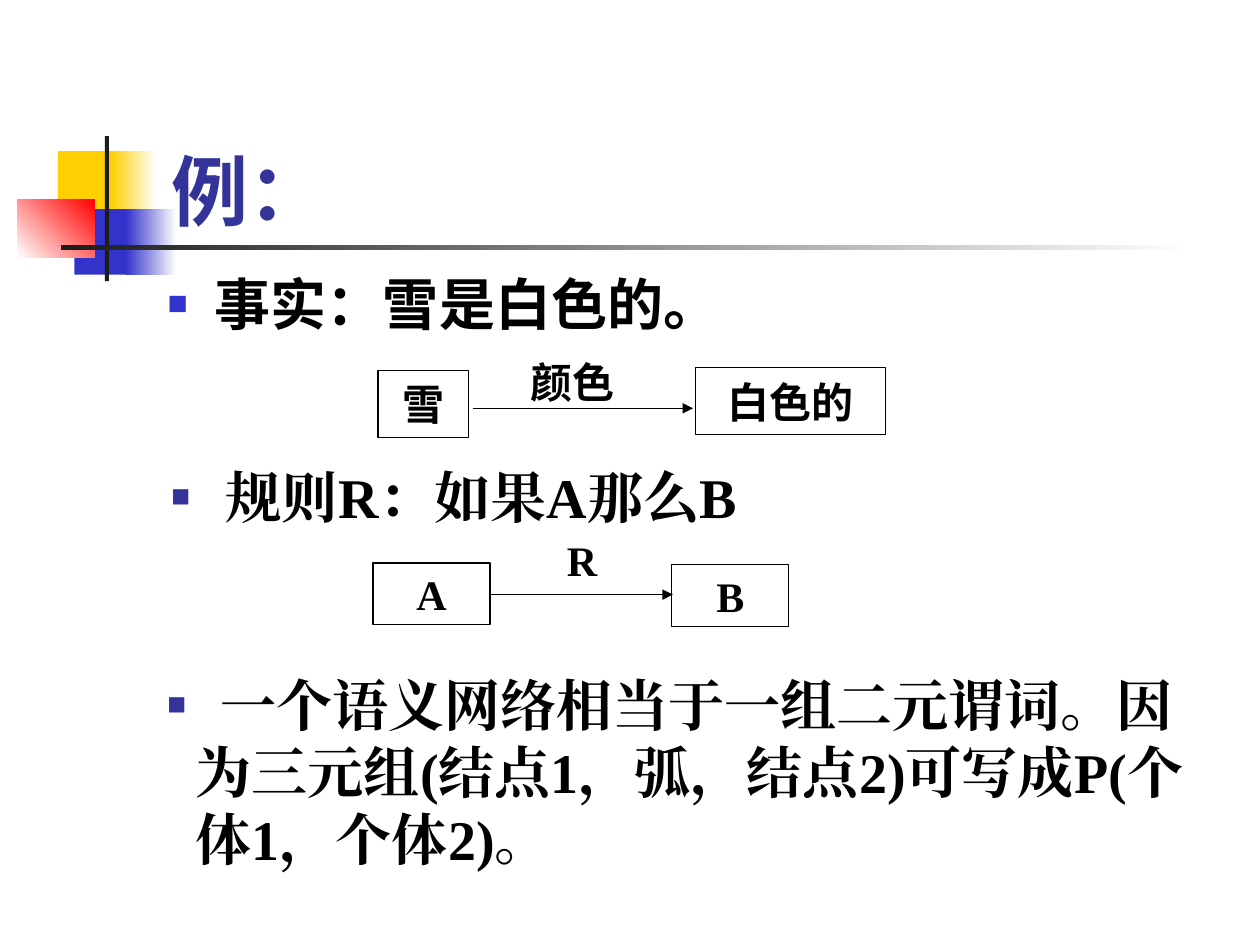
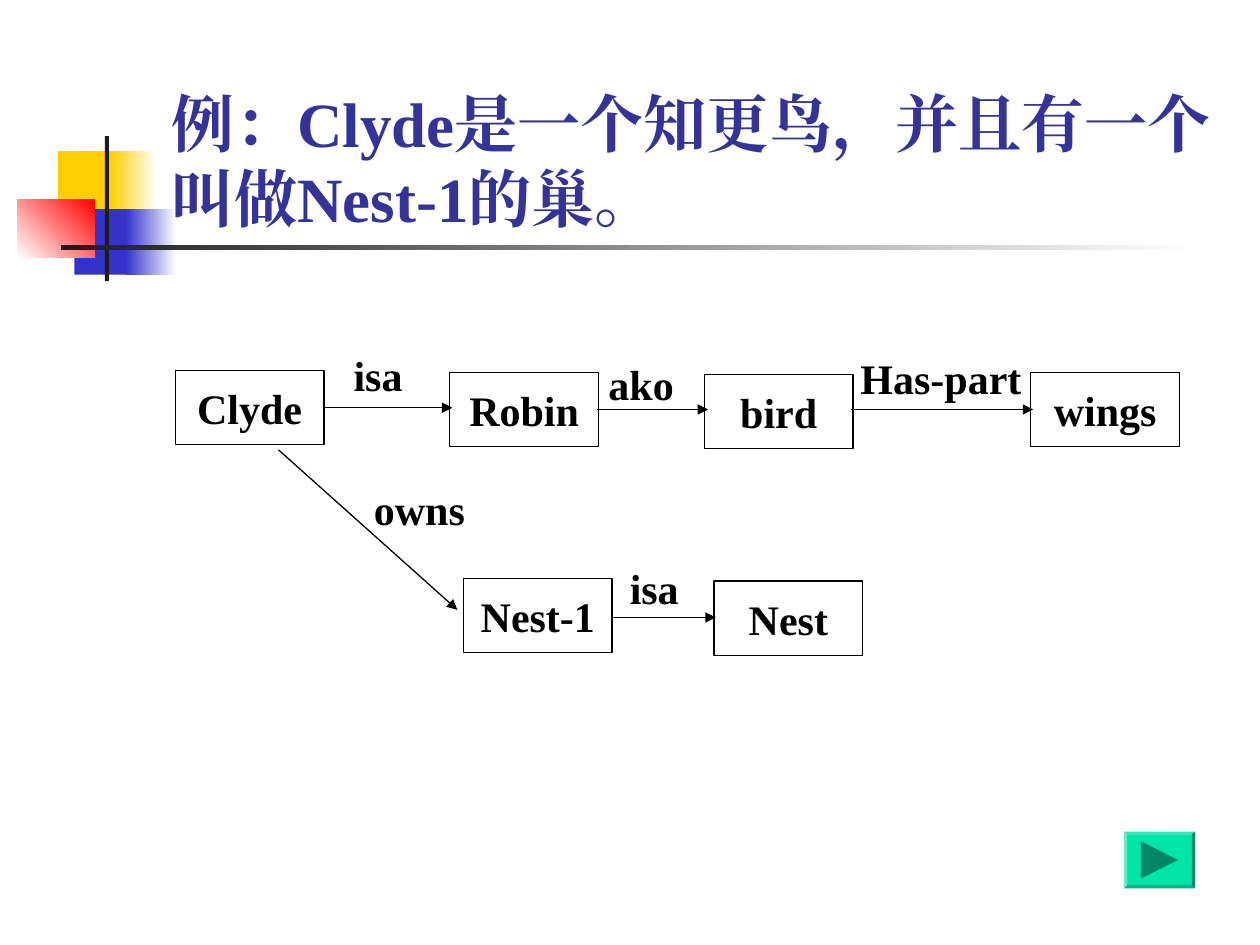
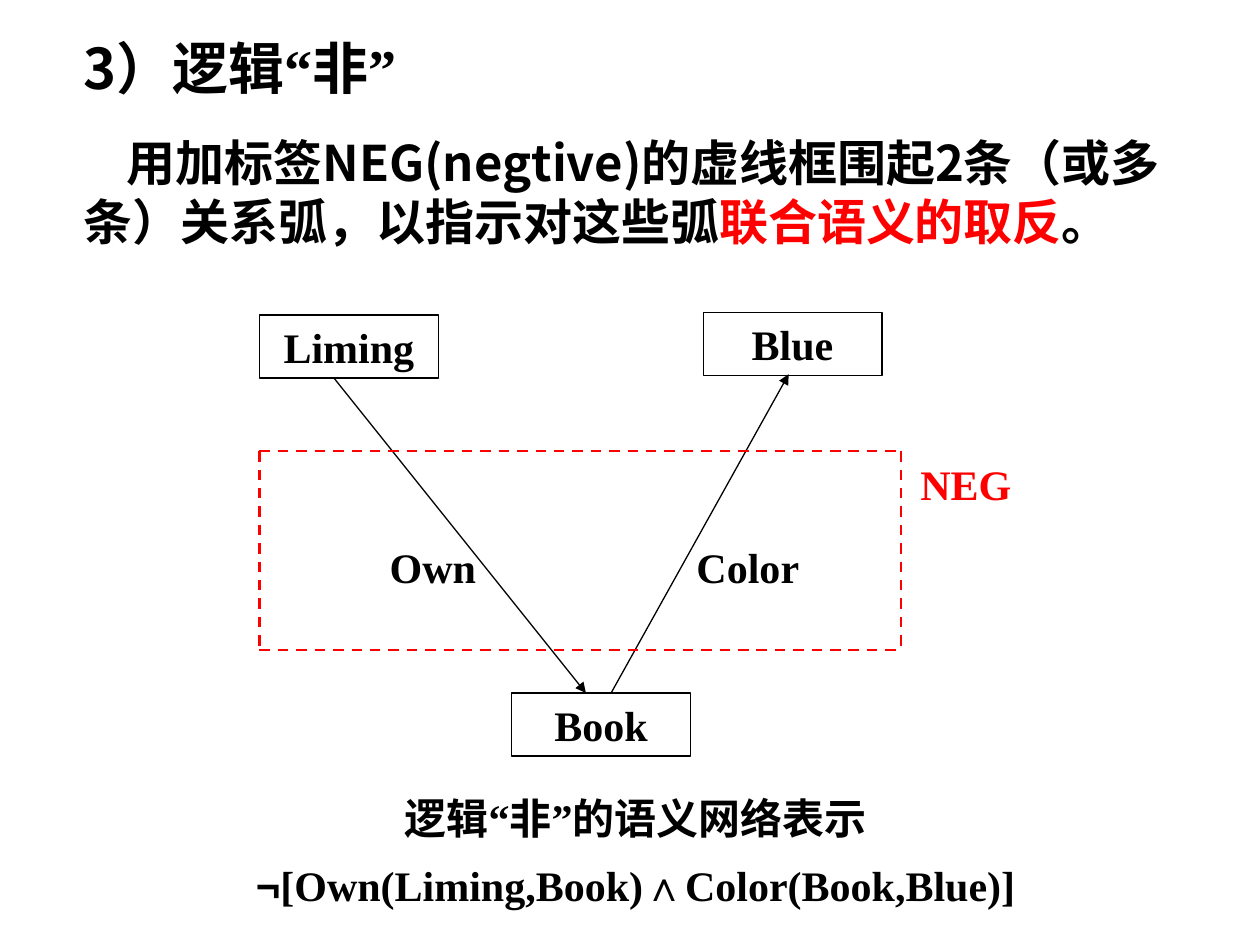
from lxml import etree
from pptx import Presentation
from pptx.dml.color import RGBColor
from pptx.enum.dml import MSO_LINE
from pptx.enum.shapes import MSO_CONNECTOR, MSO_SHAPE
from pptx.enum.text import MSO_ANCHOR, MSO_AUTO_SIZE, PP_ALIGN
from pptx.oxml.ns import qn
from pptx.util import Pt

RECT, BEVEL, TRIANGLE = MSO_SHAPE.RECTANGLE, MSO_SHAPE.BEVEL, MSO_SHAPE.ISOSCELES_TRIANGLE
STRAIGHT, DASH = MSO_CONNECTOR.STRAIGHT, MSO_LINE.DASH
TOP, MIDDLE, BOTTOM = MSO_ANCHOR.TOP, MSO_ANCHOR.MIDDLE, MSO_ANCHOR.BOTTOM
LEFT, CENTER = PP_ALIGN.LEFT, PP_ALIGN.CENTER
NO_FIT = MSO_AUTO_SIZE.NONE
TITLE_CONTENT, TITLE_ONLY = 1, 5

BLACK, WHITE, RED = "000000", "FFFFFF", "FF0000"
YELLOW, BLUE, INDIGO, CHARCOAL = "FFCF01", "3333CC", "333399", "1C1C1C"
GREEN, DARK_GREEN = "00E4A8", "008866"
TIMES, KARLA, NOTO, ARIAL = "Times New Roman", "Karla", "Noto Sans CJK SC", "Arial"

TITLE_BOX = (90.7, 48.2, 613.4, 90)
ORNAMENT = [
    ((33.1, 86.4, 34.6, 37.4), (YELLOW,), 0),
    ((63.4, 86.4, 25.9, 37.4), (YELLOW, WHITE), 0),
    ((42.5, 119.5, 33.1, 37.4), (BLUE,), 0),
    ((72, 119.5, 28.8, 37.4), (BLUE, WHITE), 0),
    ((10, 113.8, 44.2, 33.1), (WHITE, RED), 45),
    ((59.9, 77.8, 2.4, 82.8), (CHARCOAL,), 0),
    ((34.9, 140.2, 648, 2.6), (CHARCOAL, WHITE), 0),
]


def rgb(value):
    return RGBColor.from_string(value)


def add_xml(parent, tag, **attrs):
    return etree.SubElement(parent, qn(tag), attrs)


class Deck:
    def __init__(self):
        self.prs = Presentation()
        self.prs.slide_width, self.prs.slide_height = Pt(720), Pt(540)
        self.s = None

    def slide(self, layout, ornament=True):
        self.s = self.prs.slides.add_slide(self.prs.slide_layouts[layout])
        if ornament:
            for box, colors, angle in ORNAMENT:
                sp = self.shape(RECT, box, colors, angle)
                self.s.shapes.title.element.addprevious(sp.element)

    def shape(self, kind, box, colors=(), angle=0, line=None):
        sp = self.s.shapes.add_shape(kind, *map(Pt, box))
        sp.shadow.inherit = False
        if len(colors) == 2:
            sp.fill.gradient()
            sp.fill.gradient_angle = angle
            for stop, color in zip(sp.fill.gradient_stops, colors):
                stop.color.rgb = rgb(color)
        elif colors:
            sp.fill.solid()
            sp.fill.fore_color.rgb = rgb(colors[0])
        else:
            sp.fill.background()
        if line:
            sp.line.color.rgb = rgb(line)
            sp.line.width = Pt(0.75)
        else:
            sp.line.fill.background()
        return sp

    def fill_text(self, sp, paragraphs, anchor=TOP, wrap=True, gap=0, **fmt):
        tf = sp.text_frame
        frame = {"auto_size": NO_FIT, "word_wrap": wrap, "vertical_anchor": anchor}
        for name, value in frame.items():
            setattr(tf, name, value)
        for i, runs in enumerate(paragraphs):
            p = tf.paragraphs[0] if i == 0 else tf.add_paragraph()
            self.paragraph(p, runs, before=gap if i else 0, **fmt)

    def paragraph(self, p, runs, size=24, font=TIMES, color=BLACK, align=LEFT, spacing=1,
                  before=0, margin=0, indent=0, bullet=None, tab=None):
        layout = {"alignment": align, "line_spacing": spacing, "space_before": Pt(before)}
        for name, value in layout.items():
            setattr(p, name, value)
        pPr = p._p.get_or_add_pPr()
        pPr.set("marL", str(Pt(margin)))
        pPr.set("indent", str(Pt(indent)))
        if bullet:
            char, tint, percent = bullet
            add_xml(add_xml(pPr, "a:buClr"), "a:srgbClr", val=tint)
            add_xml(pPr, "a:buSzPct", val=str(percent * 1000))
            add_xml(pPr, "a:buFont", typeface=TIMES)
            add_xml(pPr, "a:buChar", char=char)
        else:
            add_xml(pPr, "a:buNone")
        if tab:
            add_xml(add_xml(pPr, "a:tabLst"), "a:tab", pos=str(Pt(tab)), algn="l")
        for text, own in runs:
            r = p.add_run()
            r.text = text
            style = {"size": Pt(size), "bold": True, "name": own.get("font", font)}
            for name, value in style.items():
                setattr(r.font, name, value)
            r.font.color.rgb = rgb(own.get("color", color))
            add_xml(r._r.get_or_add_rPr(), "a:ea", typeface=style["name"])

    def placeholder(self, index, box, runs, **fmt):
        sp = self.s.placeholders[index]
        for name, value in zip(("left", "top", "width", "height"), box):
            setattr(sp, name, Pt(value))
        self.fill_text(sp, [runs], **fmt)

    def title(self, text, size, font):
        self.placeholder(0, TITLE_BOX, [(text, {})], size=size, font=font, color=INDIGO,
                         anchor=BOTTOM)

    def text(self, box, paragraphs, **fmt):
        self.fill_text(self.s.shapes.add_textbox(*map(Pt, box)), paragraphs, **fmt)

    def label(self, text, x, y, width, **fmt):
        self.text((x, y, width, 36), [[(text, {})]], **fmt)

    def node(self, text, box, colors=(), font=TIMES):
        sp = self.shape(RECT, box, colors, line=BLACK)
        self.fill_text(sp, [[(text, {})]], anchor=MIDDLE, wrap=False, align=CENTER, font=font)

    def line(self, x1, y1, x2, y2, color=BLACK, width=0.75, dash=None, arrow=True):
        c = self.s.shapes.add_connector(STRAIGHT, *map(Pt, (x1, y1, x2, y2)))
        c.line.color.rgb = rgb(color)
        c.line.width = Pt(width)
        if dash:
            c.line.dash_style = dash
        if arrow:
            add_xml(c.element.spPr.find(qn("a:ln")), "a:tailEnd", type="triangle")
        add_xml(c.element.spPr, "a:effectLst")


def facts_and_rules(d):
    d.slide(TITLE_CONTENT)
    d.title("例：", 44, KARLA)
    d.placeholder(1, (88.6, 150.5, 599, 46.8), [("事实：雪是白色的。", {})], size=32,
                  font=KARLA, margin=27, indent=-27, bullet=("■", BLUE, 60))
    d.node("雪", (216, 211.7, 51.8, 38.2), font=KARLA)
    d.node("白色的", (397.4, 210.2, 108.7, 38.2), font=KARLA)
    d.line(270, 233.3, 396, 233.3)
    d.label("颜色", 295.9, 200.2, 85, font=KARLA)
    square = {"size": 32, "bullet": ("▪", INDIGO, 110)}
    d.text((90, 260.6, 461.5, 46), [[("规则R：如果A那么B", {})]], margin=32, indent=-32,
           **square)
    d.node("A", (213.1, 321.8, 67, 35.3), (WHITE,))
    d.node("B", (383.8, 322.6, 67, 35.3), (WHITE,))
    d.line(279.4, 339.8, 384.5, 339.8)
    d.label("R", 316.8, 301.7, 39.6)
    claim = "\t一个语义网络相当于一组二元谓词。因为三元组(结点1，弧，结点2)可写成P(个体1，个体2)。"
    d.text((87.8, 379.4, 607.7, 122.4), [[(claim, {})]], margin=17, indent=-17, tab=31,
           **square)


def robin_network(d):
    d.slide(TITLE_ONLY)
    d.title("例：Clyde是一个知更鸟，并且有一个叫做Nest-1的巢。", 36, TIMES)
    for name, x, y in [("Clyde", 100.1, 211.7), ("Robin", 257, 212.8), ("bird", 402.5, 214),
                       ("wings", 589, 212.8), ("Nest-1", 264.8, 330.5), ("Nest", 408, 332)]:
        d.node(name, (x, y, 85, 42.5))
    for ends in [(159.1, 257, 261.4, 348.5), (185, 233, 258.5, 233), (341.3, 234, 404.6, 234),
                 (486, 234, 590.4, 234), (349.2, 352.8, 409, 352.8)]:
        d.line(*ends)
    for name, x, y, width in [("isa", 195, 196, 50), ("isa", 352.8, 318.2, 50),
                              ("ako", 340.6, 201.6, 57), ("Has-part", 484.6, 198, 122.4),
                              ("owns", 206.6, 273, 77)]:
        d.label(name, x, y, width)
    d.shape(BEVEL, (642.2, 475.2, 40.6, 32.4), (GREEN,)).adjustments[0] = 0.06
    d.shape(TRIANGLE, (652, 480.8, 21.2, 21.2), (DARK_GREEN,)).rotation = 90


def negation(d):
    d.slide(TITLE_CONTENT, ornament=False)
    quote = {"font": TIMES}
    d.placeholder(0, (40.3, 15.8, 635, 46), [("3）逻辑", {}), ("“", quote), ("非", {}),
                                             ("”", quote)], size=32, font=NOTO)
    d.placeholder(1, (40.3, 72, 635, 108),
                  [("用加标签NEG(negtive)的虚线框围起2条（或多条）关系弧，以指示对这些弧", {}),
                   ("联合语义的取反", {"color": RED}), ("。", {})],
                  size=28, font=NOTO, indent=25)
    for name, x in [("Own", 202.3), ("Color", 382.3)]:
        d.label(name, x, 306, 90, align=CENTER)
    for name, x, y in [("Liming", 148.3, 180), ("Book", 292.3, 396), ("Blue", 401.8, 178.6)]:
        d.node(name, (x, y, 102.2, 36))
    d.line(190.8, 216, 334.8, 396)
    d.line(349.2, 396, 450.7, 213.8)
    x1, y1, x2, y2 = 148.3, 257.8, 514.8, 371.5
    for ends in [(x1, y1, x2, y1), (x1, y2, x2, y2), (x1, y1, x1, y2), (x2, y1, x2, y2)]:
        d.line(*ends, color=RED, width=1.5, dash=DASH, arrow=False)
    d.label("NEG", 506.9, 258.5, 90, align=CENTER, color=RED)
    karla = {"font": KARLA}
    d.text((64.8, 455, 596.9, 68.4),
           [[("逻辑", karla), ("“", {}), ("非", karla), ("”", {}), ("的语义网络表示", karla)],
            [("¬", {"font": ARIAL}), ("[Own(Liming,Book)∧Color(Book,Blue)]", {})]],
           align=CENTER, spacing=0.8, gap=15)


def main():
    d = Deck()
    for build in (facts_and_rules, robin_network, negation):
        build(d)
    d.prs.save("out.pptx")


if __name__ == "__main__":
    main()
